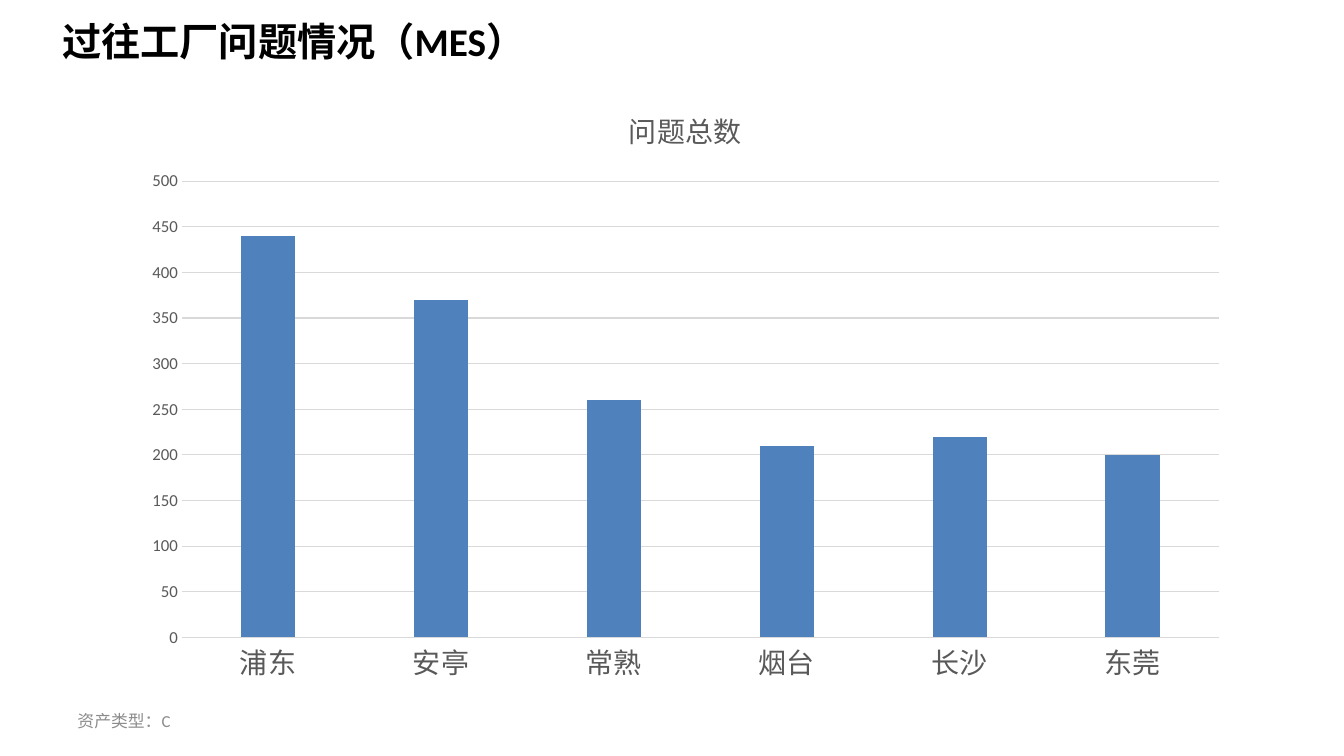
from dataclasses import dataclass

from lxml import etree
from pptx import Presentation
from pptx import util as u
from pptx.chart.data import CategoryChartData
from pptx.dml.color import RGBColor
from pptx.enum import chart as charts, text
from pptx.oxml.ns import qn


@dataclass(frozen=True)
class Theme:
    """Colours, fonts and type sizes of the deck."""
    latin: str = "Calibri"
    chinese: str = "Noto Sans CJK SC"
    black: str = "000000"
    label: str = "595959"
    footer: str = "8C8C8C"
    grid: str = "D9D9D9"
    bar: str = "4F81BD"
    heading_size: int = 28
    chart_size: int = 20
    small_size: int = 12
    line_width: float = 0.75


def format_font(font, size, colour, name, bold=False):
    font.size, font.bold, font.name = u.Pt(size), bold, name
    font.color.rgb = RGBColor.from_string(colour)


def add_span(para, content, *, east_asian, **style):
    span = para.add_run()
    span.text = content
    format_font(span.font, **style)
    latin = span.font._element.find(qn("a:latin"))
    latin.addnext(etree.Element(qn("a:ea"), typeface=east_asian))


class Page:
    def __init__(self, deck, theme):
        self.theme = theme
        self.slide = deck.slides.add_slide(deck.slide_layouts[6])

    def text(self, content, bounds, anchor=text.MSO_ANCHOR.TOP, **style):
        box = self.slide.shapes.add_textbox(*map(u.Inches, bounds))
        frame = box.text_frame
        frame.word_wrap = True
        frame.vertical_anchor = anchor
        add_span(frame.paragraphs[0], content, name=self.theme.latin,
                 east_asian=self.theme.chinese, **style)

    def line(self, line_format):
        line_format.color.rgb = RGBColor.from_string(self.theme.grid)
        line_format.width = u.Pt(self.theme.line_width)

    def columns(self, title, values, bounds, top, step):
        theme = self.theme
        data = CategoryChartData()
        data.categories = list(values)
        data.add_series(title, list(values.values()))
        chart = self.slide.shapes.add_chart(
            charts.XL_CHART_TYPE.COLUMN_STACKED, *map(u.Inches, bounds), data).chart
        chart.has_legend = False
        chart.has_title = True
        add_span(chart.chart_title.text_frame.paragraphs[0], title,
                 size=theme.chart_size, colour=theme.label,
                 name=theme.chinese, east_asian=theme.chinese)
        chart.chart_title.include_in_layout = False

        plot = chart.plots[0]
        plot.gap_width, plot.overlap = 219, 100
        plot.vary_by_categories = False
        fill = plot.series[0].format.fill
        fill.solid()
        fill.fore_color.rgb = RGBColor.from_string(theme.bar)

        category, value = chart.category_axis, chart.value_axis
        for axis, size, name in ((category, theme.chart_size, theme.chinese),
                                 (value, theme.small_size, theme.latin)):
            axis.major_tick_mark = charts.XL_TICK_MARK.NONE
            axis.minor_tick_mark = charts.XL_TICK_MARK.NONE
            format_font(axis.tick_labels.font, size, theme.label, name)
        self.line(category.format.line)
        self.line(value.major_gridlines.format.line)
        value.format.line.fill.background()
        value.minimum_scale, value.maximum_scale, value.major_unit = 0, top, step


def main():
    deck = Presentation()
    deck.slide_width, deck.slide_height = u.Inches(13.33), u.Inches(7.5)
    theme = Theme()
    page = Page(deck, theme)
    page.text("过往工厂问题情况（MES）", (0.52, 0.12, 9.98, 0.57),
              size=theme.heading_size, colour=theme.black, bold=True)
    page.text("资产类型：C", (0.67, 6.95, 3.11, 0.4), text.MSO_ANCHOR.MIDDLE,
              size=theme.small_size, colour=theme.footer)
    problems = {"浦东": 440, "安亭": 370, "常熟": 260,
                "烟台": 210, "长沙": 220, "东莞": 200}
    page.columns("问题总数", problems, (1.29, 0.83, 11.02, 6.06), top=500, step=50)
    deck.save("out.pptx")


if __name__ == "__main__":
    main()
